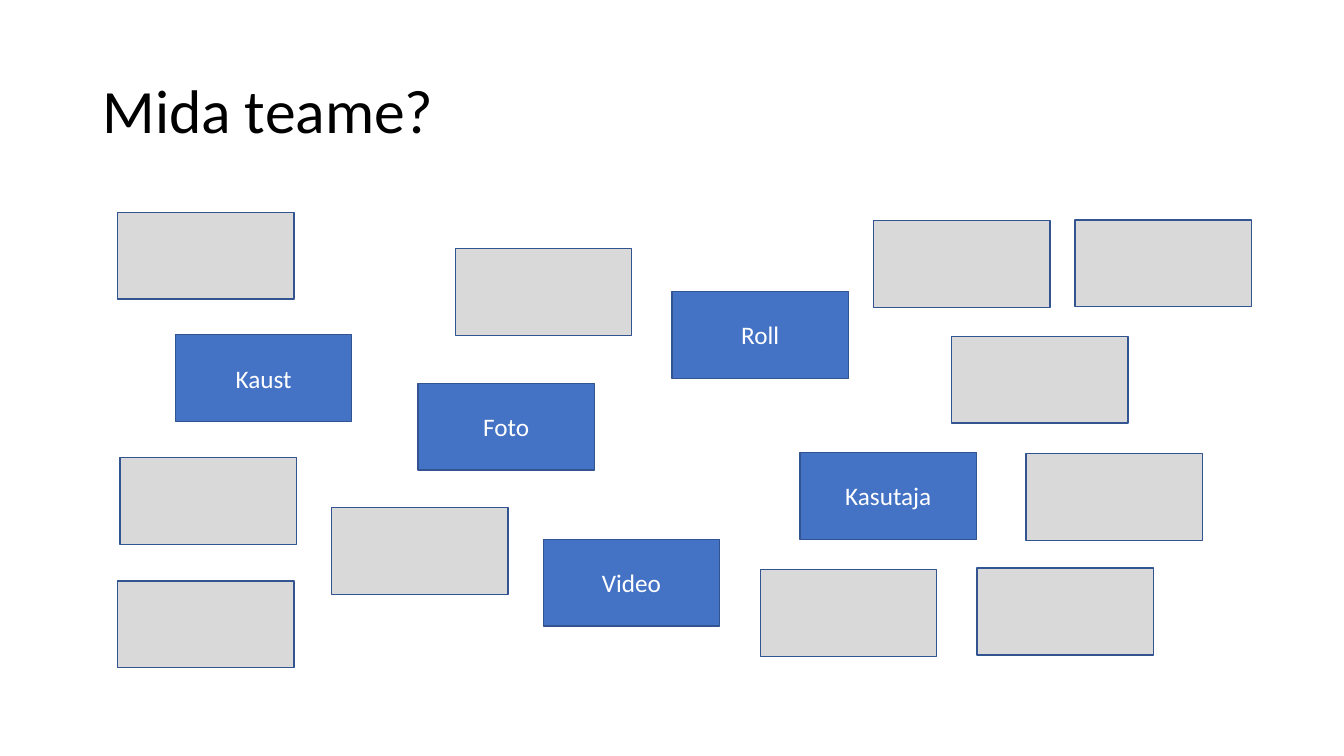
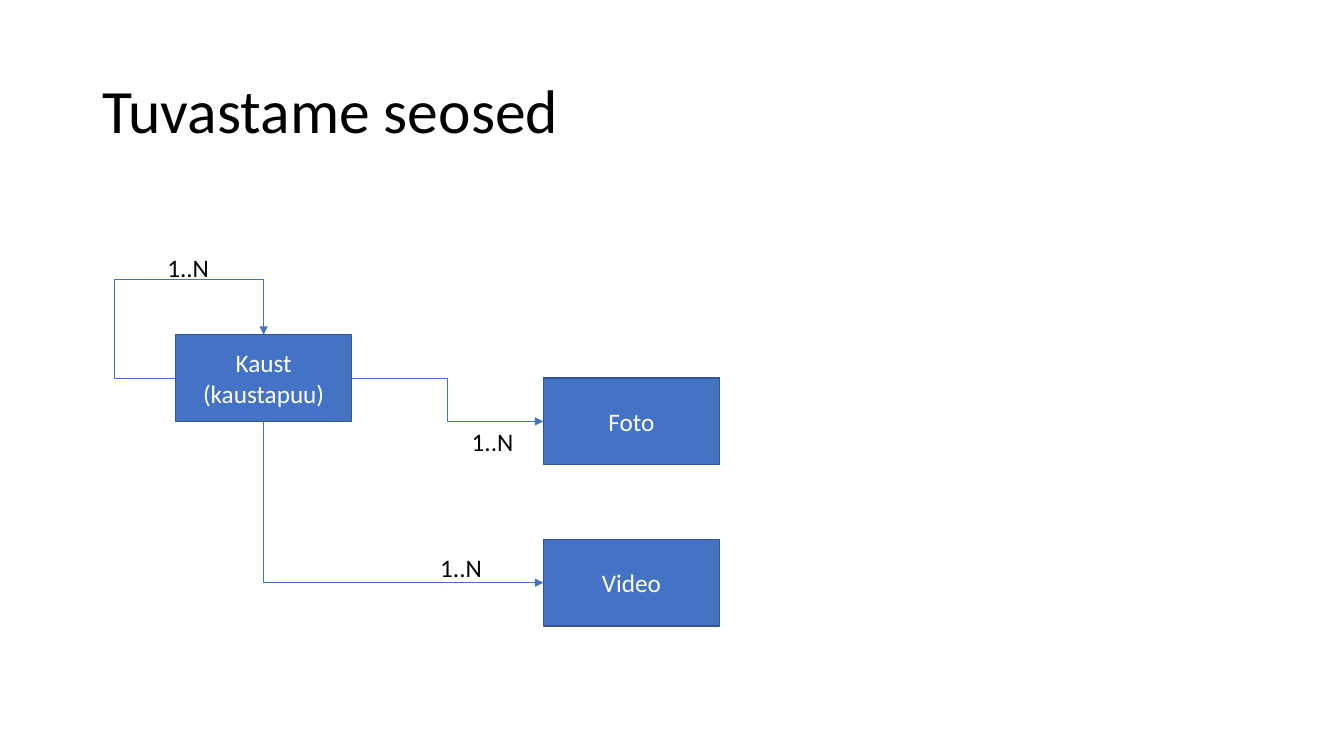
from lxml.etree import SubElement
from pptx import Presentation
from pptx.dml.color import RGBColor
from pptx.enum.shapes import MSO_CONNECTOR, MSO_SHAPE
from pptx.enum.text import MSO_ANCHOR, MSO_AUTO_SIZE, PP_ALIGN
from pptx.oxml.ns import qn
from pptx.util import Pt

# Shared look
COLORS = {
    "entity": "4472C4",
    "unknown": "D9D9D9",
    "outline": "325491",
    "light": "FFFFFF",
    "dark": "000000",
}
FONT = "Calibri"
BOX_WIDTH, BOX_HEIGHT = 126, 62
TOP, LEFT, BOTTOM, RIGHT = range(4)  # connection sites of a rectangle

# Positions in points: left, top
KNOWN_ENTITIES = [
    ("Kaust", 125.3, 239), ("Foto", 298.6, 273.8), ("Roll", 480, 208.2),
    ("Video", 388, 385.2), ("Kasutaja", 571.5, 323.2),
]
UNKNOWN_ENTITIES = [
    (237, 362.7), (325.2, 177.5), (85.8, 326.8), (84, 151.7),
    (623.9, 157.5), (679.8, 240.3), (732.8, 324), (543, 406.8),
    (84, 415), (768, 157), (697.8, 405.8),
]
CARDINALITIES = [(112.4, 176.5), (307.3, 391.3), (329.8, 301)]


def rgb(name):
    return RGBColor.from_string(COLORS[name])


def format_text(text_frame, size, color, align):
    for paragraph in text_frame.paragraphs:
        paragraph.alignment = align
        for run in paragraph.runs:
            run.font.name = FONT
            run.font.size = Pt(size)
            run.font.color.rgb = rgb(color)


def place(shape, left, top, width, height):
    shape.left, shape.top = Pt(left), Pt(top)
    shape.width, shape.height = Pt(width), Pt(height)


def add_titled_slide(deck, heading):
    slide = deck.slides.add_slide(deck.slide_layouts[5])
    title = slide.shapes.title
    place(title, 66, 28.8, 828, 104.4)
    title.text_frame.text = heading
    title.text_frame.vertical_anchor = MSO_ANCHOR.MIDDLE
    title.text_frame.paragraphs[0].line_spacing = 0.9
    format_text(title.text_frame, 44, "dark", PP_ALIGN.LEFT)
    return slide


def add_box(slide, left, top, label="", fill="entity"):
    box = slide.shapes.add_shape(
        MSO_SHAPE.RECTANGLE, Pt(left), Pt(top), Pt(BOX_WIDTH), Pt(BOX_HEIGHT))
    box.shadow.inherit = False
    box.fill.solid()
    box.fill.fore_color.rgb = rgb(fill)
    box.line.color.rgb = rgb("outline")
    box.line.width = Pt(1)
    if label:
        box.text_frame.text = label
        box.text_frame.vertical_anchor = MSO_ANCHOR.MIDDLE
        format_text(box.text_frame, 18, "light", PP_ALIGN.CENTER)
    return box


def add_cardinality(slide, left, top):
    label = slide.shapes.add_textbox(Pt(left), Pt(top), Pt(44.6), Pt(29))
    label.text_frame.text = "1..N"
    label.text_frame.word_wrap = False
    label.text_frame.auto_size = MSO_AUTO_SIZE.SHAPE_TO_FIT_TEXT
    format_text(label.text_frame, 18, "dark", PP_ALIGN.LEFT)


def add_relation(slide, source, exit_site, target, entry_site, bends,
                 adjustments=(), turn=0):
    """Elbow arrow between two boxes; a quarter turn swaps its frame's sides."""
    relation = slide.shapes.add_connector(MSO_CONNECTOR.ELBOW, 0, 0, 0, 0)
    relation.begin_connect(source, exit_site)
    relation.end_connect(target, entry_site)
    relation.line.color.rgb = rgb("entity")
    relation.line.width = Pt(0.5)
    properties = relation._element.spPr
    SubElement(properties.find(qn("a:ln")), qn("a:tailEnd"), type="triangle")
    SubElement(properties, qn("a:effectLst"))

    # Route
    geometry = properties.find(qn("a:prstGeom"))
    geometry.set("prst", f"bentConnector{bends + 1}")
    for number, value in enumerate(adjustments, 1):
        SubElement(geometry.find(qn("a:avLst")), qn("a:gd"),
                   name=f"adj{number}", fmla=f"val {value}")
    if turn:
        frame = properties.find(qn("a:xfrm"))
        frame.set("rot", str(turn * 60000))
        frame.set("flipH", "1")
        frame.set("flipV", "0")
    if turn == 270:
        width, height = relation.width, relation.height
        relation.left += (width - height) // 2
        relation.top += (height - width) // 2
        relation.width, relation.height = height, width


def build_known_slide(deck):
    slide = add_titled_slide(deck, "Mida teame?")
    for label, left, top in KNOWN_ENTITIES:
        add_box(slide, left, top, label)
    for left, top in UNKNOWN_ENTITIES:
        add_box(slide, left, top, fill="unknown")


def build_relations_slide(deck):
    slide = add_titled_slide(deck, "Tuvastame seosed")
    folder = add_box(slide, 125.3, 239, "Kaust\v(kaustapuu)")
    photo = add_box(slide, 388, 270, "Foto")
    video = add_box(slide, 388, 385.2, "Video")
    add_relation(slide, folder, LEFT, folder, TOP, 3, (-69200, 226200), 180)
    add_relation(slide, folder, RIGHT, photo, LEFT, 2)
    add_relation(slide, folder, BOTTOM, video, LEFT, 1, turn=270)
    for left, top in CARDINALITIES:
        add_cardinality(slide, left, top)


def main():
    deck = Presentation()
    deck.slide_width, deck.slide_height = Pt(960), Pt(540)
    build_known_slide(deck)
    build_relations_slide(deck)
    deck.save("out.pptx")


main()
